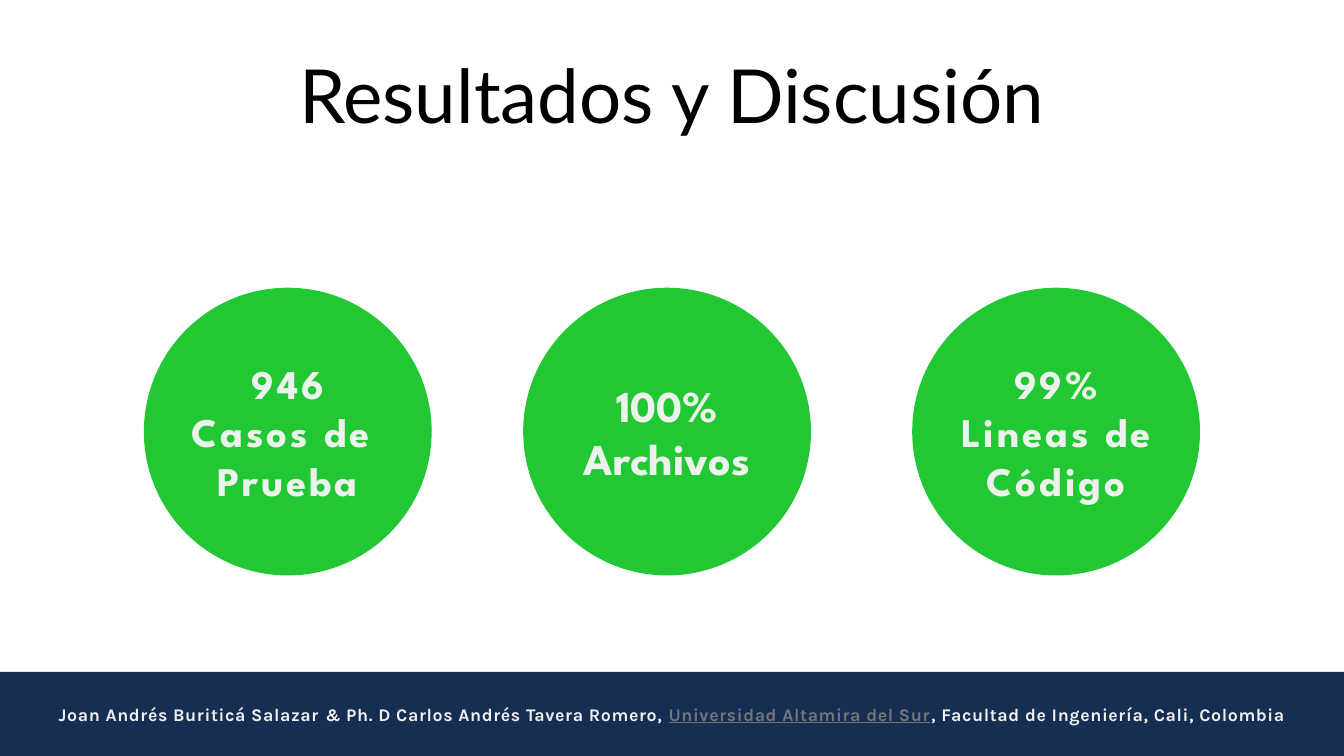
"""Build the results slide: a title, three figures in circles and a footer."""
from pptx import Presentation
from pptx.dml.color import RGBColor
from pptx.enum.shapes import MSO_SHAPE
from pptx.enum.text import MSO_ANCHOR, PP_ALIGN
from pptx.util import Inches, Pt

RECT, OVAL = MSO_SHAPE.RECTANGLE, MSO_SHAPE.OVAL
MIDDLE, CENTER = MSO_ANCHOR.MIDDLE, PP_ALIGN.CENTER

WHITE = RGBColor(0xFF, 0xFF, 0xFF)
BLACK = RGBColor(0x00, 0x00, 0x00)
NAVY = RGBColor(0x16, 0x2E, 0x51)
GREEN = RGBColor(0x21, 0xC8, 0x34)
MINT = RGBColor(0xEC, 0xF3, 0xEC)
LIGHT = RGBColor(0xF0, 0xF0, 0xF0)
GREY = RGBColor(0x71, 0x76, 0x7A)

WIDTH, HEIGHT = 11.02, 6.2
FOOTER_TOP = 5.51
CIRCLE_TOP, DIAMETER = 2.36, 2.36

TITLE = {"name": "Lato", "size": Pt(44), "color": BLACK}
FIGURE = {"name": "League Spartan", "size": Pt(24), "color": MINT, "bold": True}
BIG_FIGURE = {**FIGURE, "size": Pt(26)}
CREDIT = {"name": "Karla", "size": Pt(10.5), "color": LIGHT, "bold": True}
ITALIC = {**CREDIT, "italic": True}
LINK = {**CREDIT, "color": GREY, "underline": True}

CIRCLES = [
    (1.18, ["946", "Casos de ", "Prueba"], FIGURE, 1.7),
    (4.29, ["100%", "Archivos"], BIG_FIGURE, 0),
    (7.48, ["99%", "Lineas de", "Código"], FIGURE, 1.7),
]
CREDITS = [
    ("Joan Andrés Buriticá Salazar ", CREDIT),
    ("&", ITALIC),
    (" Ph. D Carlos Andrés Tavera Romero, ", CREDIT),
    ("Universidad Altamira del Sur", LINK),
    (", Facultad de Ingeniería, Cali, Colombia", CREDIT),
]


class Deck:
    """Hold the presentation, the current slide and the shared text style."""

    def __init__(self):
        self.prs = Presentation()
        self.prs.slide_width, self.prs.slide_height = Inches(WIDTH), Inches(HEIGHT)
        self.s = self.prs.slides.add_slide(self.prs.slide_layouts[6])
        fill = self.s.background.fill
        fill.solid()
        fill.fore_color.rgb = WHITE

    def put_text(self, sp, paragraphs, spacing=0, wrap=False, inset=(0.1, 0.05)):
        """Fill a shape with centred paragraphs of (text, format) runs."""
        tf = sp.text_frame
        tf.word_wrap, tf.vertical_anchor = wrap, MIDDLE
        tf.margin_left = tf.margin_right = Inches(inset[0])
        tf.margin_top = tf.margin_bottom = Inches(inset[1])
        for i, runs in enumerate(paragraphs):
            p = tf.add_paragraph() if i else tf.paragraphs[0]
            p.alignment = CENTER
            for text, style in runs:
                r = p.add_run()
                r.text = text
                for key, value in style.items():
                    if key == "color":
                        r.font.color.rgb = value
                    else:
                        setattr(r.font, key, value)
                if spacing:
                    r._r.get_or_add_rPr().set("spc", str(round(spacing * 100)))

    def text(self, box, paragraphs):
        """Add a wrapped text box without insets."""
        sp = self.s.shapes.add_textbox(*map(Inches, box))
        self.put_text(sp, paragraphs, wrap=True, inset=(0, 0))

    def shape(self, kind, box, fill, paragraphs, spacing):
        """Add a filled shape without outline or shadow."""
        sp = self.s.shapes.add_shape(kind, *map(Inches, box))
        sp.shadow.inherit = False
        sp.fill.solid()
        sp.fill.fore_color.rgb = fill
        sp.line.fill.background()
        self.put_text(sp, paragraphs, spacing)


def main():
    """Draw the slide and save it."""
    deck = Deck()
    footer = (0, FOOTER_TOP, WIDTH, HEIGHT - FOOTER_TOP)
    deck.shape(RECT, footer, NAVY, [CREDITS], 0.4)
    deck.text((0.55, 0.25, 9.92, 1.04), [[("Resultados y Discusión", TITLE)]])
    for left, lines, style, spacing in CIRCLES:
        box = (left, CIRCLE_TOP, DIAMETER, DIAMETER)
        deck.shape(OVAL, box, GREEN, [[(line, style)] for line in lines], spacing)
    deck.prs.save("out.pptx")


if __name__ == "__main__":
    main()
